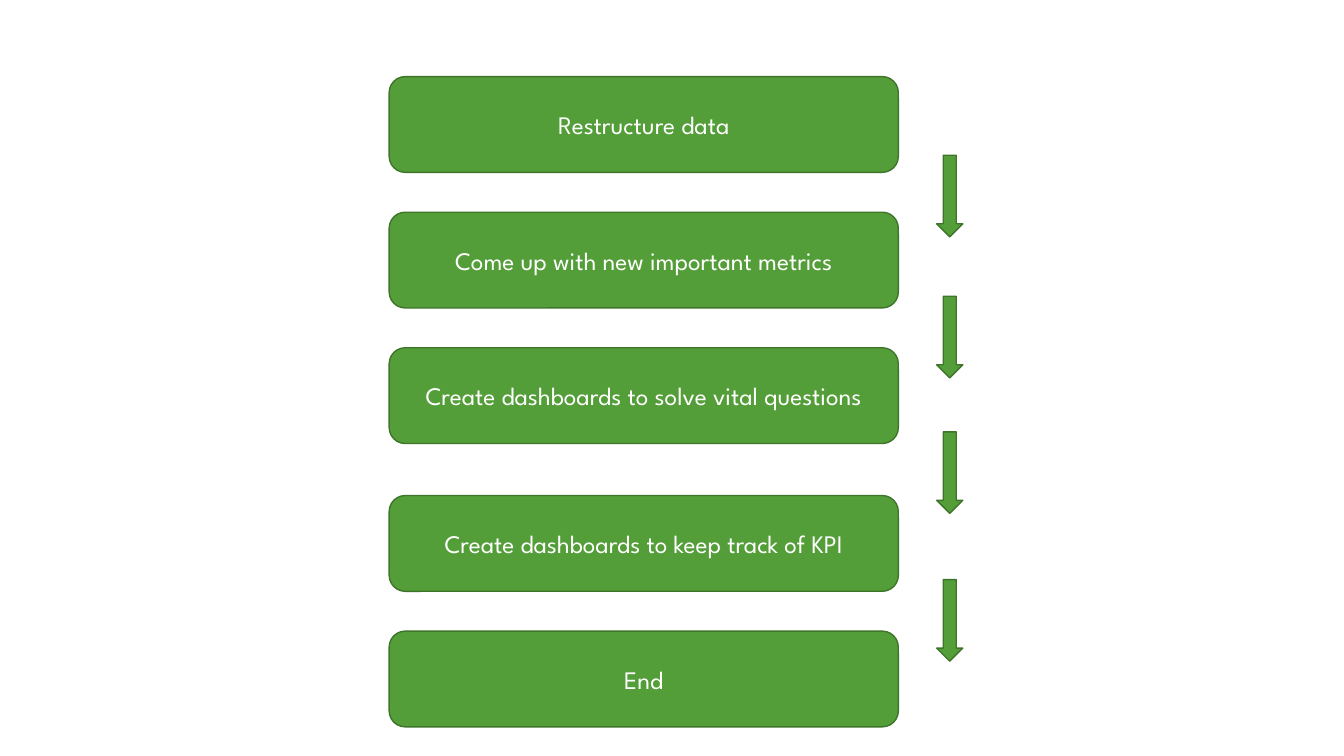
"""Build a slide with a five-step vertical process."""
from dataclasses import dataclass

from pptx import Presentation
from pptx import util as u
from pptx.dml import color
from pptx.enum import shapes, text


@dataclass(frozen=True)
class Theme:
    """Colours, type and line sizes of the slide."""
    fill: str = "549E39"
    outline: str = "3E752A"
    ink: str = "FFFFFF"
    font: str = "League Spartan"
    text_size: int = 18
    line_width: int = 1


def write(shape, content, *, font, size, ink, align=text.PP_ALIGN.CENTER):
    """Write one formatted paragraph in the vertical middle of a shape."""
    frame = shape.text_frame
    frame.word_wrap = True
    frame.vertical_anchor = text.MSO_ANCHOR.MIDDLE
    paragraph = frame.paragraphs[0]
    paragraph.alignment = align
    run = paragraph.add_run()
    run.text = content
    run.font.name = font
    run.font.size = u.Pt(size)
    run.font.color.rgb = color.RGBColor.from_string(ink)


class ProcessSlide:
    """Draw process steps and arrows on a grid of rows."""
    TOP = 0.76
    ROW = 1.345
    STEP_LEFT, STEP_WIDTH, STEP_HEIGHT = 3.86, 5.05, 0.95
    ARROW_LEFT, ARROW_WIDTH, ARROW_HEIGHT = 9.29, 0.26, 0.81

    def __init__(self, slide, theme):
        """Keep the slide and its theme."""
        self.slide = slide
        self.theme = theme

    def block(self, kind, row, left, width, height):
        """Add a filled preset shape whose top lies on a grid row."""
        top = self.TOP + row * self.ROW
        shape = self.slide.shapes.add_shape(
            kind, u.Inches(left), u.Inches(top), u.Inches(width), u.Inches(height))
        shape.shadow.inherit = False
        shape.fill.solid()
        shape.fill.fore_color.rgb = color.RGBColor.from_string(self.theme.fill)
        shape.line.color.rgb = color.RGBColor.from_string(self.theme.outline)
        shape.line.width = u.Pt(self.theme.line_width)
        return shape

    def step(self, row, label):
        """Add a labelled process step."""
        shape = self.block(shapes.MSO_SHAPE.ROUNDED_RECTANGLE, row,
                           self.STEP_LEFT, self.STEP_WIDTH, self.STEP_HEIGHT)
        write(shape, label, font=self.theme.font,
              size=self.theme.text_size, ink=self.theme.ink)

    def arrow(self, row):
        """Add a down arrow beside the steps."""
        self.block(shapes.MSO_SHAPE.DOWN_ARROW, row,
                   self.ARROW_LEFT, self.ARROW_WIDTH, self.ARROW_HEIGHT)


STEPS = {
    "Restructure data": 0,
    "Come up with new important metrics": 1,
    "Create dashboards to solve vital questions": 2,
    "Create dashboards to keep track of KPI": 3.09,
    "End": 4.09,
}
ARROW_ROWS = (0.58, 1.62, 2.62, 3.71)


def main():
    """Create and save the presentation."""
    presentation = Presentation()
    presentation.slide_width = u.Inches(13.33)
    presentation.slide_height = u.Inches(7.5)
    slide = presentation.slides.add_slide(presentation.slide_layouts[6])
    process = ProcessSlide(slide, Theme())
    for label, row in STEPS.items():
        process.step(row, label)
    for row in ARROW_ROWS:
        process.arrow(row)
    presentation.save("out.pptx")


if __name__ == "__main__":
    main()
